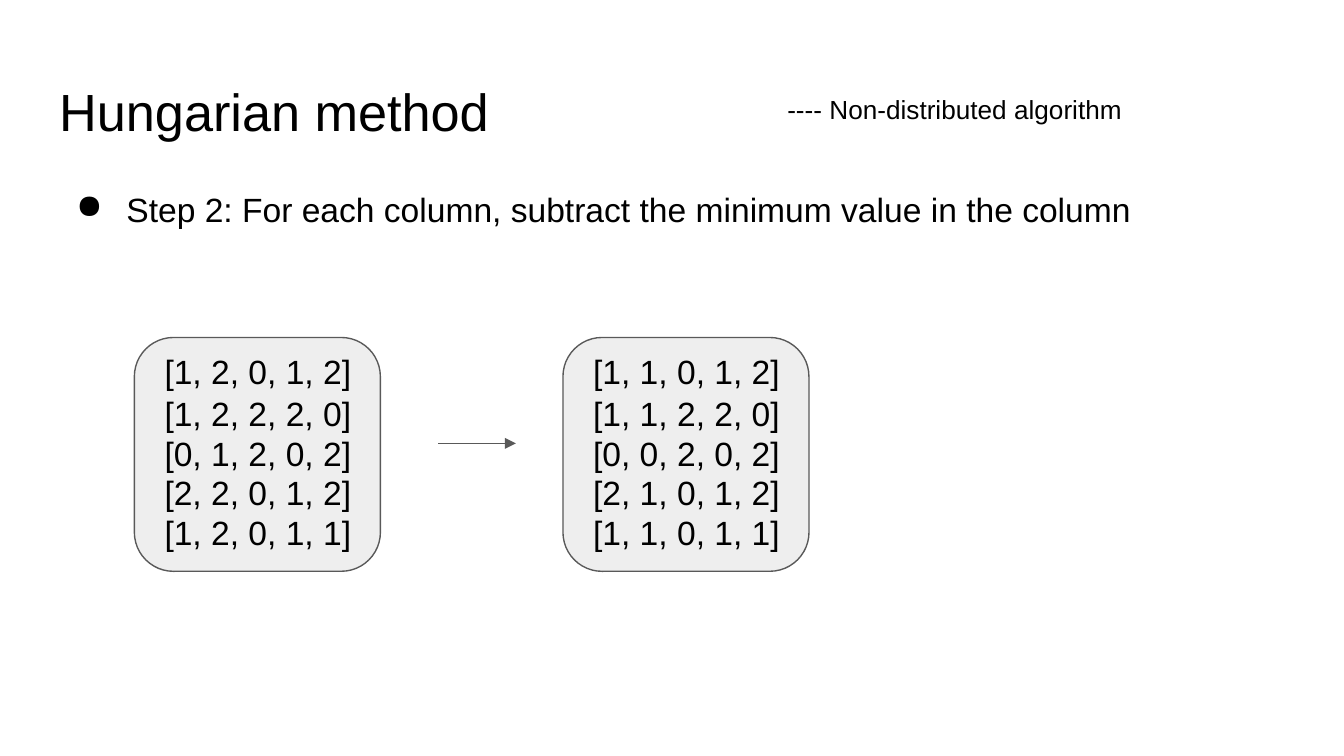
from pptx import Presentation
from pptx.dml.color import RGBColor
from pptx.enum.shapes import MSO_CONNECTOR, MSO_SHAPE
from pptx.oxml.ns import qn
from pptx.util import Cm, Pt
from lxml import etree

ROUND = MSO_SHAPE.ROUNDED_RECTANGLE
LINE = MSO_CONNECTOR.STRAIGHT

THEME = {
    "font": "Arial",
    "ink": RGBColor(0x00, 0x00, 0x00),
    "fill": RGBColor(0xEE, 0xEE, 0xEE),
    "edge": RGBColor(0x59, 0x59, 0x59),
    "width": Pt(0.75),
    "title": Pt(28),
    "body": Pt(18),
    "note": Pt(14),
}

TITLE = "Hungarian method"
NOTE = "---- Non-distributed algorithm"
STEP = "Step 2: For each column, subtract the minimum value in the column"

# Each matrix is a list of text blocks, each block a list of rows.
BEFORE = [
    ["[1, 2, 0, 1, 2]"],
    ["[1, 2, 2, 2, 0]", "[0, 1, 2, 0, 2]"],
    ["[2, 2, 0, 1, 2]", "[1, 2, 0, 1, 1]"],
]
AFTER = [
    ["[1, 1, 0, 1, 2]"],
    ["[1, 1, 2, 2, 0]", "[0, 0, 2, 0, 2]"],
    ["[2, 1, 0, 1, 2]", "[1, 1, 0, 1, 1]"],
]

# Matrix layout, in centimetres
LEFT, TOP, WIDE, HIGH = 2.54, 6.38, 4.65, 4.42
PITCH = 8.1
INDENT = 0.32
DROPS = (0, 0.79, 2.29)
ARROW_Y, ARROW_X = 8.38, (8.28, 9.75)


def add_text(slide, rows, size, x, y, w, h):
    frame = slide.shapes.add_textbox(Cm(x), Cm(y), Cm(w), Cm(h)).text_frame
    frame.word_wrap = True
    frame.margin_left = frame.margin_right = Cm(0.25)
    frame.margin_top = frame.margin_bottom = Cm(0.25)
    frame.text = "\n".join(rows)
    for para in frame.paragraphs:
        para.font.name = THEME["font"]
        para.font.size = size
        para.font.color.rgb = THEME["ink"]
    return frame


def add_bullet(para):
    props = para._p.get_or_add_pPr()
    props.set("marL", str(Cm(1.27)))
    props.set("indent", str(-Cm(0.95)))
    para.line_spacing = 1.15
    para.space_after = Pt(16)
    mark = etree.Element(qn("a:buChar"), char="●")
    props.insert_element_before(mark, "a:tabLst", "a:defRPr", "a:extLst")


def add_matrix(slide, blocks, x):
    box = slide.shapes.add_shape(ROUND, Cm(x), Cm(TOP), Cm(WIDE), Cm(HIGH))
    box.shadow.inherit = False
    box.adjustments[0] = 0.167
    box.fill.solid()
    box.fill.fore_color.rgb = THEME["fill"]
    box.line.color.rgb = THEME["edge"]
    box.line.width = THEME["width"]
    for rows, drop in zip(blocks, DROPS):
        add_text(slide, rows, THEME["body"], x + INDENT, TOP + drop, 4.2, 1.09)


def add_arrow(slide):
    start, end = ARROW_X
    arrow = slide.shapes.add_connector(
        LINE, Cm(start), Cm(ARROW_Y), Cm(end), Cm(ARROW_Y))
    arrow.line.color.rgb = THEME["edge"]
    arrow.line.width = THEME["width"]
    edge = arrow.line._get_or_add_ln()
    etree.SubElement(edge, qn("a:tailEnd"), type="triangle", w="med", len="med")
    etree.SubElement(arrow._element.spPr, qn("a:effectLst"))


def main():
    deck = Presentation()
    deck.slide_width, deck.slide_height = Cm(25.4), Cm(14.29)
    slide = deck.slides.add_slide(deck.slide_layouts[6])

    add_text(slide, [TITLE], THEME["title"], 0.87, 1.24, 23.67, 1.6)
    add_text(slide, [NOTE], THEME["note"], 14.63, 1.52, 6.86, 1.3)
    body = add_text(slide, [STEP], THEME["body"], 0.87, 3.2, 23.67, 9.5)
    add_bullet(body.paragraphs[0])

    for i, blocks in enumerate((BEFORE, AFTER)):
        add_matrix(slide, blocks, LEFT + i * PITCH)
    add_arrow(slide)
    deck.save("out.pptx")


if __name__ == "__main__":
    main()
